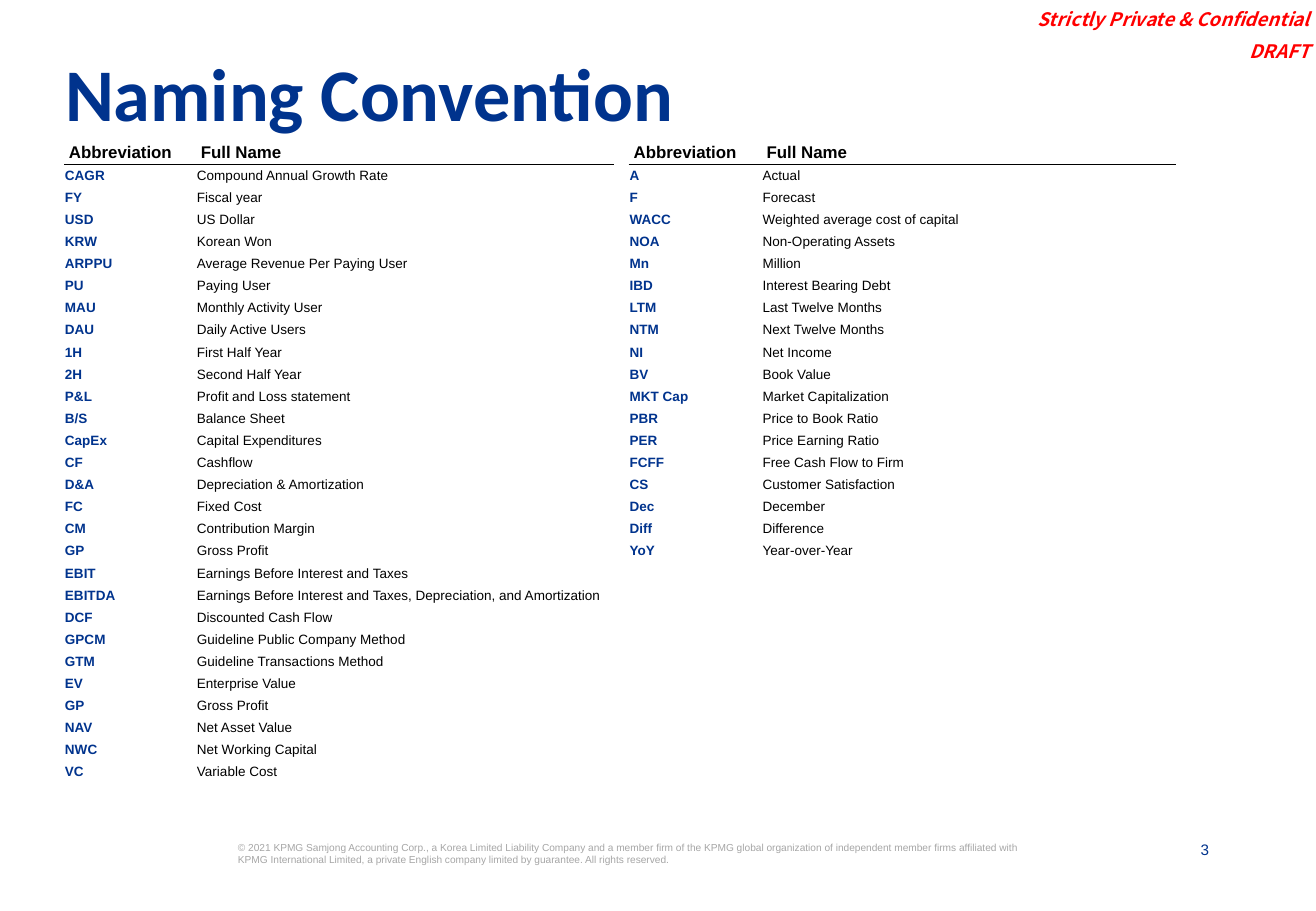
from itertools import product

from lxml.etree import SubElement
from pptx import Presentation
from pptx.dml.color import RGBColor as RGB
from pptx.enum.text import MSO_ANCHOR as ANCHOR, PP_ALIGN as ALIGN
from pptx.oxml import parse_xml
from pptx.oxml.ns import nsdecls, qn
from pptx.util import Pt

PX = 914400 / 121.5

NAVY = RGB(0x00, 0x33, 0x8D)
BLACK = RGB(0x00, 0x00, 0x00)
RED = RGB(0xFF, 0x00, 0x00)
GREY = RGB(0xA6, 0xA6, 0xA6)

PLAIN = "{2D5ABB26-0587-4C30-8999-92F81FD0307C}"  # table style without grid
HEAD = ("Abbreviation", "Full Name")
COLS = (132, 418, 14, 133, 414)
ROWS = 30  # body rows, the last two empty
RIGHT = 3  # first column of the right-hand list

LEFT_TERMS = [
    ("CAGR", "Compound Annual Growth Rate"),
    ("FY", "Fiscal year"),
    ("USD", "US Dollar"),
    ("KRW", "Korean Won"),
    ("ARPPU", "Average Revenue Per Paying User"),
    ("PU", "Paying User"),
    ("MAU", "Monthly Activity User"),
    ("DAU", "Daily Active Users"),
    ("1H", "First Half Year"),
    ("2H", "Second Half Year"),
    ("P&L", "Profit and Loss statement"),
    ("B/S", "Balance Sheet"),
    ("CapEx", "Capital Expenditures"),
    ("CF", "Cashflow"),
    ("D&A", "Depreciation & Amortization"),
    ("FC", "Fixed Cost"),
    ("CM", "Contribution Margin"),
    ("GP", "Gross Profit"),
    ("EBIT", "Earnings Before Interest and Taxes"),
    ("EBITDA", "Earnings Before Interest and Taxes, Depreciation, and Amortization"),
    ("DCF", "Discounted Cash Flow"),
    ("GPCM", "Guideline Public Company Method"),
    ("GTM", "Guideline Transactions Method"),
    ("EV", "Enterprise Value"),
    ("GP", "Gross Profit"),
    ("NAV", "Net Asset Value"),
    ("NWC", "Net Working Capital"),
    ("VC", "Variable Cost"),
]
RIGHT_TERMS = [
    ("A", "Actual"),
    ("F", "Forecast"),
    ("WACC", "Weighted average cost of capital"),
    ("NOA", "Non-Operating Assets"),
    ("Mn", "Million"),
    ("IBD", "Interest Bearing Debt"),
    ("LTM", "Last Twelve Months"),
    ("NTM", "Next Twelve Months"),
    ("NI", "Net Income"),
    ("BV", "Book Value"),
    ("MKT Cap", "Market Capitalization"),
    ("PBR", "Price to Book Ratio"),
    ("PER", "Price Earning Ratio"),
    ("FCFF", "Free Cash Flow to Firm"),
    ("CS", "Customer Satisfaction"),
    ("Dec", "December"),
    ("Diff", "Difference"),
    ("YoY", "Year-over-Year"),
]
RIGHTS = ("© 2021 KPMG Samjong Accounting Corp., a Korea Limited Liability Company "
          "and a member firm of the KPMG global organization of independent member "
          "firms affiliated with KPMG International Limited, a private English "
          "company limited by guarantee. All rights reserved.")


def px(n):
    return round(n * PX)


def write(frame, *lines, size, color, font="Arial", bold=False, italic=False,
          align=ALIGN.LEFT, space=None, gap=0):
    """Fill a text frame; gap is the space before later lines, in percent."""
    for i, line in enumerate(lines):
        para = frame.add_paragraph() if i else frame.paragraphs[0]
        para.alignment = align
        if space:
            para.line_spacing = space
        if i and gap:
            before = SubElement(para._p.get_or_add_pPr(), qn("a:spcBef"))
            SubElement(before, qn("a:spcPct"), val=str(gap * 1000))
        run = para.add_run()
        run.text = line
        face = run.font
        face.name, face.size, face.bold, face.italic = font, Pt(size), bold, italic
        face.color.rgb = color


def inset(box, left, top, right, bottom):
    box.margin_left, box.margin_top = px(left), px(top)
    box.margin_right, box.margin_bottom = px(right), px(bottom)


def place(shape, x, y, w, h):
    shape.left, shape.top, shape.width, shape.height = map(px, (x, y, w, h))


def label(slide, area, *lines, pad=(0, 0, 0, 0), anchor=ANCHOR.TOP, **style):
    frame = slide.shapes.add_textbox(*map(px, area)).text_frame
    frame.word_wrap = True
    frame.vertical_anchor = anchor
    inset(frame, *pad)
    write(frame, *lines, **style)


def rule(cell):
    """Draw a thin line below a cell."""
    cell._tc.get_or_add_tcPr().insert(0, parse_xml(
        f'<a:lnB {nsdecls("a")} w="{Pt(0.5)}"><a:solidFill>'
        f'<a:srgbClr val="{BLACK}"/></a:solidFill></a:lnB>'))


def glossary(slide, x, y, h, top):
    """Two lists of terms in one table; top is the height of the header row."""
    grid = slide.shapes.add_table(ROWS + 1, len(COLS), px(x), px(y),
                                  px(sum(COLS)), px(h)).table
    grid.first_row = grid.horz_banding = False
    grid._tbl.tblPr.find(qn("a:tableStyleId")).text = PLAIN
    for col, wide in zip(grid.columns, COLS):
        col.width = px(wide)
    for i, row in enumerate(grid.rows):
        row.height = px((h - top) / ROWS if i else top)

    # Words by row and column
    words = {}
    for start, terms in ((0, LEFT_TERMS), (RIGHT, RIGHT_TERMS)):
        for r, pair in enumerate([HEAD, *terms]):
            for c, word in enumerate(pair):
                words[r, start + c] = word

    for r, c in product(range(ROWS + 1), range(len(COLS))):
        cell = grid.cell(r, c)
        cell.fill.background()
        cell.vertical_anchor = ANCHOR.MIDDLE
        side = 1 if r else 5
        inset(cell, side, 1, side, 0)
        if (r, c) not in words:
            # A small end mark keeps empty rows low
            SubElement(cell.text_frame.paragraphs[0]._p, qn("a:endParaRPr"), sz="800")
            continue
        key = c in (0, RIGHT)
        write(cell.text_frame, words[r, c], size=8 if r else 10,
              color=NAVY if r and key else BLACK, bold=key or r == 0)
        if r == 0:
            rule(cell)


def main():
    deck = Presentation()
    deck.slide_width, deck.slide_height = px(1316), px(911)
    slide = deck.slides.add_slide(deck.slide_layouts[5])

    # Title
    title = slide.shapes.title
    place(title, 53, 66, 1142, 78)
    frame = title.text_frame
    frame.word_wrap = True
    frame.vertical_anchor = ANCHOR.TOP
    inset(frame, 12, 6, 12, 6)
    write(frame, "Naming Convention", size=44, color=NAVY, font="Calibri",
          bold=True, space=0.7)

    # Page marks
    label(slide, (1011, 0, 304, 67), "Strictly Private & Confidential", "DRAFT",
          pad=(0, 5, 5, 5), anchor=ANCHOR.BOTTOM, size=11, color=RED,
          font="Noto Sans CJK KR", bold=True, italic=True, align=ALIGN.RIGHT, gap=50)
    label(slide, (238, 841, 793, 61), RIGHTS, size=6, color=GREY)
    label(slide, (1157, 840, 52, 19), "3", size=9, color=NAVY, align=ALIGN.RIGHT)

    # Terms
    glossary(slide, 64, 141, 686, 23)

    deck.save("out.pptx")


if __name__ == "__main__":
    main()
